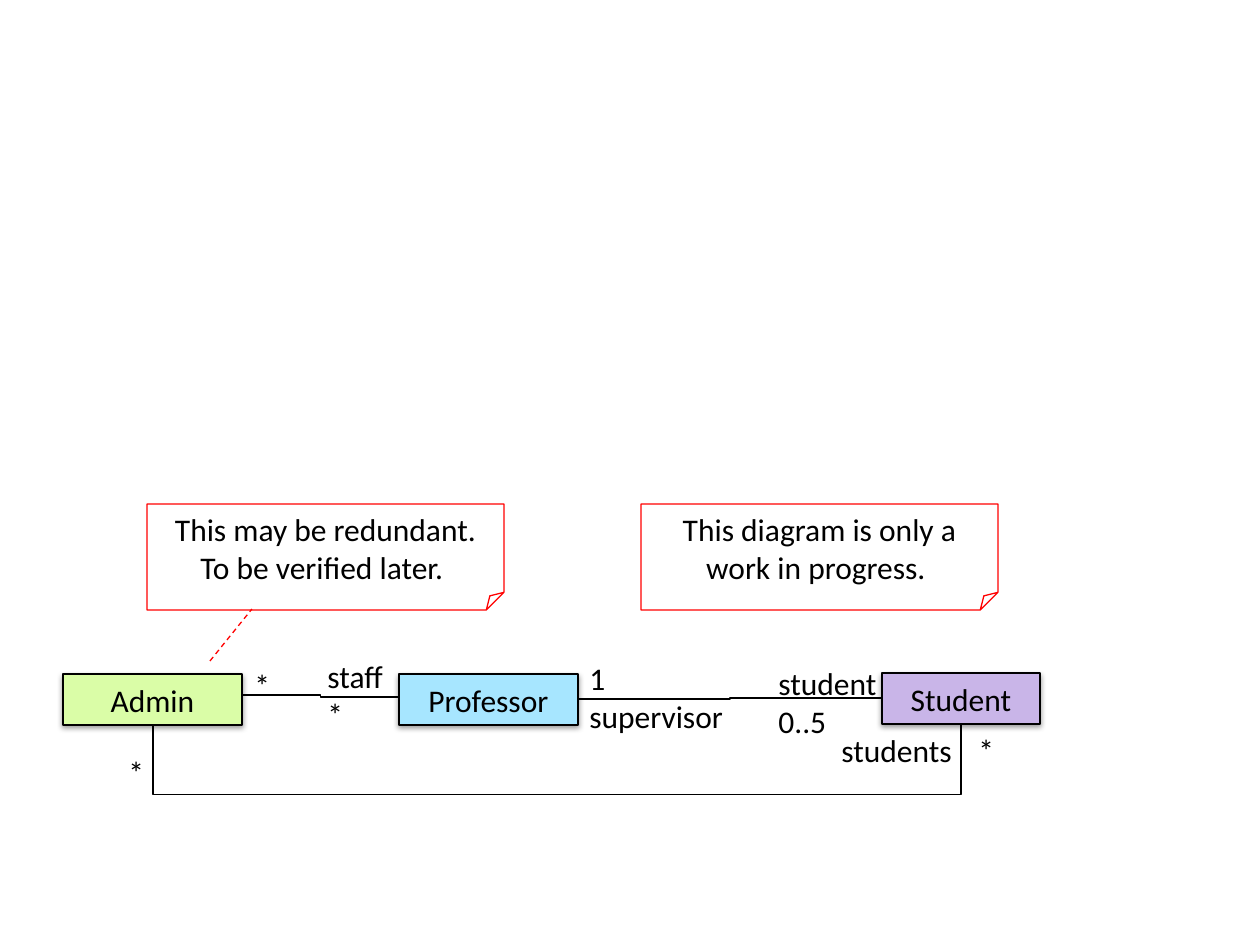
import pptx
import pptx.util
import pptx.oxml
from pptx.dml.color import RGBColor
from pptx.enum.dml import MSO_LINE
from pptx.enum.shapes import MSO_CONNECTOR, MSO_SHAPE
from pptx.enum.text import MSO_ANCHOR, PP_ALIGN
from pptx.oxml.ns import qn

PX = 914400 // 126
COLORS = {"ink": "000000", "note": "FF0000", "admin": "DAFDA7",
          "professor": "A7E6FF", "student": "C9B5E8"}

# Content: boxes are left, top, width, height in px
CLASSES = [("Professor", "professor", (399, 674, 179, 51)),
           ("Student", "student", (882, 673, 158, 51)),
           ("Admin", "admin", (63, 674, 179, 51))]
LABELS = [(["student", "0..5"], (766, 658, 147, 89)),
          (["1", "supervisor"], (577, 653, 179, 89)),
          (["staff", "*"], (315, 651, 84, 89)),
          (["students"], (829, 725, 136, 51)),
          (["*"], (242, 660, 84, 51)),
          (["*"], (116, 747, 84, 51)),
          (["*"], (966, 725, 84, 51))]
NOTES = [("This may be redundant. To be verified later. ", (147, 504, 357, 106)),
         ("This diagram is only a work in progress. ", (641, 504, 357, 106))]
ASSOCIATIONS = [(578, 699, 882, 698), (242, 695, 399, 697)]
LOOP_START, LOOP_END, LOOP_DROP = (153, 725), (961, 724), 70
NOTE_LINK = (210, 661, 252, 609)

SHADOW = ('<a:effectLst xmlns:a="http://schemas.openxmlformats.org/drawingml/2006/main">'
          '<a:outerShdw blurRad="40000" dist="20000" dir="5400000" rotWithShape="0">'
          '<a:srgbClr val="000000"><a:alpha val="38000"/></a:srgbClr>'
          '</a:outerShdw></a:effectLst>')

prs = pptx.Presentation()
prs.slide_width, prs.slide_height = 1260 * PX, 945 * PX
s = prs.slides.add_slide(prs.slide_layouts[6])


def rgb(name):
    return RGBColor.from_string(COLORS[name])


def px(values):
    return [v * PX for v in values]


def write(sp, lines, align=None, anchor=MSO_ANCHOR.TOP):
    tf = sp.text_frame
    tf.word_wrap = True
    tf.vertical_anchor = anchor
    for i, line in enumerate(lines):
        p = tf.add_paragraph() if i else tf.paragraphs[0]
        p.alignment = align
        r = p.add_run()
        r.text = line
        r.font.name = "Calibri"
        r.font.size = pptx.util.Pt(18)
        r.font.color.rgb = rgb("ink")


def outline(sp, color):
    sp.line.color.rgb = rgb(color)
    sp.line.width = pptx.util.Pt(0.75)


def add_box(kind, text, box, color, fill=None):
    sp = s.shapes.add_shape(kind, *px(box))
    sp.shadow.inherit = False
    if fill:
        sp.fill.solid()
        sp.fill.fore_color.rgb = rgb(fill)
    else:
        sp.fill.background()
    outline(sp, color)
    write(sp, [text], PP_ALIGN.CENTER, MSO_ANCHOR.MIDDLE)
    return sp


def add_link(kind, ends, color="ink"):
    link = s.shapes.add_connector(kind, *px(ends))
    outline(link, color)
    pptx.oxml.parse_xml  # effect list is appended after the line
    link._element.spPr.append(link._element.makeelement(qn("a:effectLst"), {}))
    return link


# Classes, with a soft shadow below each
for name, fill, box in CLASSES:
    sp = add_box(MSO_SHAPE.RECTANGLE, name, box, "ink", fill)
    spPr = sp._element.spPr
    spPr.replace(spPr.find(qn("a:effectLst")), pptx.oxml.parse_xml(SHADOW))

# Associations between neighbours
for ends in ASSOCIATIONS:
    add_link(MSO_CONNECTOR.ELBOW, ends)

# Admin to Student: an elbow turned a quarter, so that it dips below both
(x1, y1), (x2, y2) = LOOP_START, LOOP_END
span, rise = x2 - x1, y1 - y2
loop = add_link(MSO_CONNECTOR.ELBOW, (x1, y1, x2, y2))
loop.left = (x1 + x2 - rise) * PX // 2
loop.top = (y1 + y2 - span) * PX // 2
loop.width, loop.height = rise * PX, span * PX
xfrm = loop._element.spPr.find(qn("a:xfrm"))
for key, value in (("rot", "5400000"), ("flipH", "1"), ("flipV", "1")):
    xfrm.set(key, value)
geom = loop._element.spPr.find(qn("a:prstGeom"))
guides = geom.find(qn("a:avLst"))
if guides is None:
    guides = geom.makeelement(qn("a:avLst"), {})
    geom.append(guides)
guides.append(guides.makeelement(
    qn("a:gd"), {"name": "adj1", "fmla": f"val {-LOOP_DROP * 100000 // rise}"}))

# Roles and multiplicities
for lines, box in LABELS:
    write(s.shapes.add_textbox(*px(box)), lines)

# Notes and the dashed link to the first one
for text, box in NOTES:
    add_box(MSO_SHAPE.FOLDED_CORNER, text, box, "note")
add_link(MSO_CONNECTOR.STRAIGHT, NOTE_LINK, "note").line.dash_style = MSO_LINE.DASH

prs.save("out.pptx")
